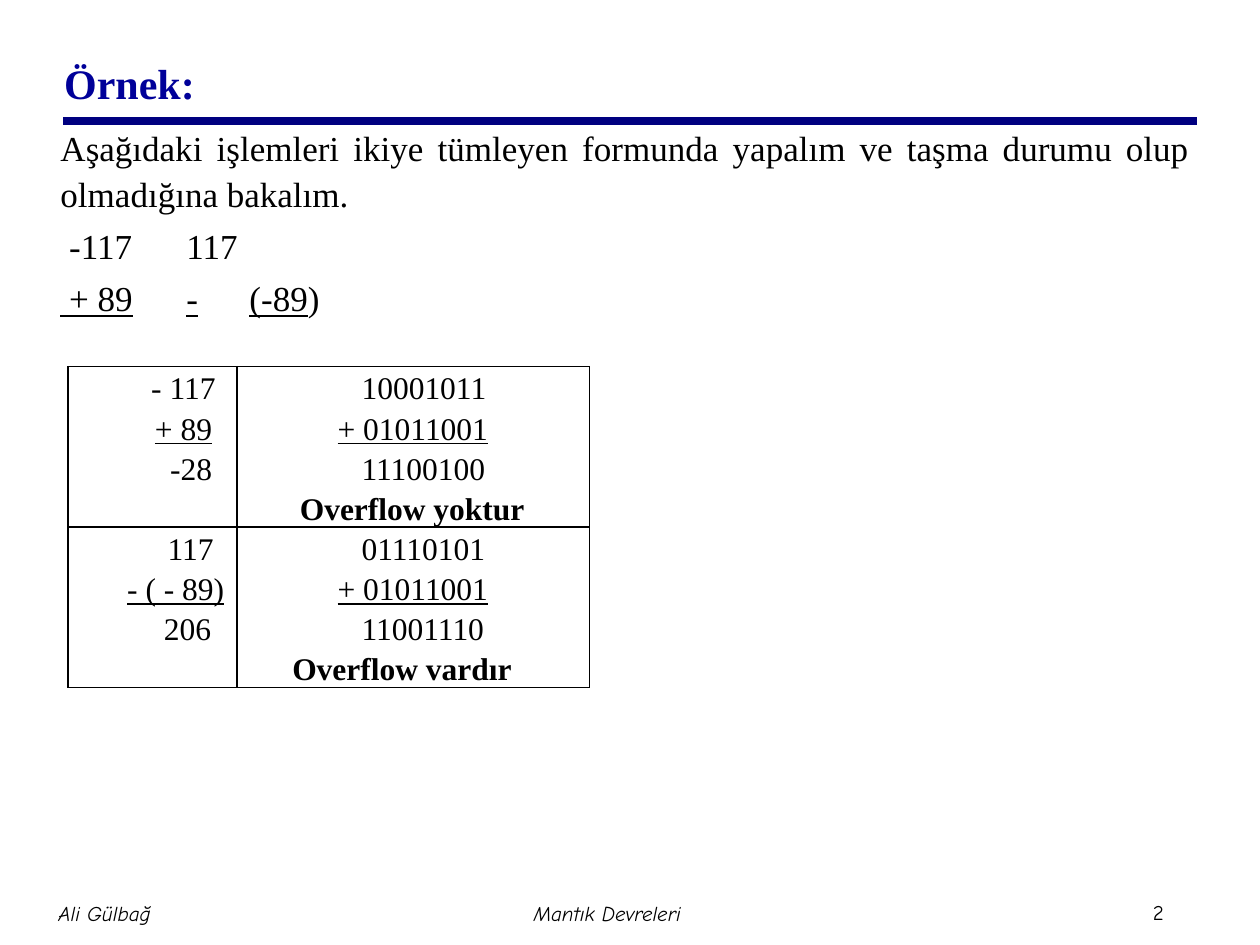
from dataclasses import dataclass

from lxml import etree
from pptx import Presentation
from pptx import util as u
from pptx.dml.color import RGBColor
from pptx.enum import shapes, text
from pptx.oxml import ns

Inches = u.Inches
ALIGN = text.PP_ALIGN
ANCHOR = text.MSO_ANCHOR


@dataclass(frozen=True)
class Theme:
    serif: str = "Times New Roman"
    casual: str = "Comic Neue"
    ink: str = "000000"
    heading: str = "000099"
    rule: str = "000080"
    title_size: int = 24
    body_size: int = 20
    table_size: int = 18
    footer_size: int = 12


THEME = Theme()


def apply(target, formats):
    for name, value in formats.items():
        setattr(target, name, value)


def place(shape, box):
    apply(shape, dict(zip(("left", "top", "width", "height"), map(Inches, box))))


def add_run(paragraph, content, size, face=THEME.serif, color=THEME.ink, **formats):
    run = paragraph.add_run()
    run.text = content
    apply(run.font, {"size": u.Pt(size), "name": face, **formats})
    run.font.color.rgb = RGBColor.from_string(color)


def paragraph_at(frame, index):
    return frame.paragraphs[0] if index == 0 else frame.add_paragraph()


def set_plain(paragraph, indent=0, tabs=()):
    properties = paragraph._p.get_or_add_pPr()
    properties.set("marL", str(Inches(indent)))
    properties.set("indent", "0")
    etree.SubElement(properties, ns.qn("a:buNone"))
    if tabs:
        tab_list = etree.SubElement(properties, ns.qn("a:tabLst"))
        for position in tabs:
            etree.SubElement(tab_list, ns.qn("a:tab"), pos=str(Inches(position)), algn="l")


def add_title(slide, box):
    title = slide.shapes.title
    place(title, box)
    apply(title.text_frame, {"vertical_anchor": ANCHOR.MIDDLE, "auto_size": text.MSO_AUTO_SIZE.NONE})
    paragraph = title.text_frame.paragraphs[0]
    paragraph.alignment = ALIGN.LEFT
    add_run(paragraph, "Örnek:", THEME.title_size, color=THEME.heading, bold=True)


def add_rule(slide, box):
    left, top, width, height = box
    rule = slide.shapes.add_connector(
        shapes.MSO_CONNECTOR.STRAIGHT,
        Inches(left), Inches(top), Inches(left + width), Inches(top + height),
    )
    rule.line.width = u.Pt(4.5)
    rule.line.color.rgb = RGBColor.from_string(THEME.rule)
    etree.SubElement(rule._element.spPr, ns.qn("a:effectLst"))


def add_body(slide, box):
    body = slide.placeholders[1]
    place(body, box)
    frame = body.text_frame
    apply(frame, {"vertical_anchor": ANCHOR.TOP, "auto_size": text.MSO_AUTO_SIZE.NONE})
    paragraphs = [
        (ALIGN.JUSTIFY, (), [("Aşağıdaki işlemleri ikiye tümleyen formunda yapalım "
                              "ve taşma durumu olup olmadığına bakalım.", False)]),
        (ALIGN.LEFT, (1.54,), [(" -117\t117", False)]),
        (ALIGN.LEFT, (1.27, 1.5), [(" + 89", True), ("\t", False), ("-\t(-89", True), (")", False)]),
    ]
    for index, (alignment, tabs, runs) in enumerate(paragraphs):
        paragraph = paragraph_at(frame, index)
        set_plain(paragraph, tabs=tabs)
        apply(paragraph, {"alignment": alignment, "line_spacing": 1.08,
                          "space_before": u.Pt(4 if index else 0)})
        for content, underline in runs:
            add_run(paragraph, content, THEME.body_size, underline=underline)


def set_borders(cell):
    properties = cell._tc.get_or_add_tcPr()
    for index, side in enumerate(("lnL", "lnR", "lnT", "lnB")):
        line = etree.Element(ns.qn(f"a:{side}"), w=str(u.Pt(1)))
        fill = etree.SubElement(line, ns.qn("a:solidFill"))
        etree.SubElement(fill, ns.qn("a:srgbClr"), val=THEME.ink)
        properties.insert(index, line)


def fill_cell(cell, lines):
    cell.fill.background()
    set_borders(cell)
    apply(cell, {"margin_left": Inches(0.07), "margin_right": Inches(0.07),
                 "margin_top": 0, "margin_bottom": 0, "vertical_anchor": ANCHOR.TOP})
    for index, (content, indent) in enumerate(lines):
        paragraph = paragraph_at(cell.text_frame, index)
        set_plain(paragraph, indent)
        apply(paragraph, {"alignment": ALIGN.LEFT, "line_spacing": 1.15})
        add_run(paragraph, content, THEME.table_size,
                underline=index == 1, bold=index == 3)


def add_results(slide, box):
    rows = [
        ([("- 117", 0.59), ("+ 89", 0.62), ("-28", 0.74)],
         [("10001011", 0.92), ("+ 01011001", 0.73), ("11100100", 0.92), ("Overflow yoktur", 0.43)]),
        ([("117", 0.72), ("- ( - 89)", 0.4), ("206", 0.69)],
         [("01110101", 0.92), ("+ 01011001", 0.73), ("11001110", 0.92), ("Overflow vardır", 0.37)]),
    ]
    table = slide.shapes.add_table(len(rows), 2, *map(Inches, box)).table
    apply(table, {"first_row": False, "horz_banding": False})
    for column, width in zip(table.columns, (1.34, 2.8)):
        column.width = Inches(width)
    for row_index, row in enumerate(rows):
        for column_index, lines in enumerate(row):
            fill_cell(table.cell(row_index, column_index), lines)


def add_footer(slide, box, content, alignment, italic):
    footer = slide.shapes.add_textbox(*map(Inches, box))
    frame = footer.text_frame
    margins = dict.fromkeys(("margin_left", "margin_right", "margin_top", "margin_bottom"), Inches(0.05))
    apply(frame, {"word_wrap": True, "vertical_anchor": ANCHOR.MIDDLE, **margins})
    frame.paragraphs[0].alignment = alignment
    add_run(frame.paragraphs[0], content, THEME.footer_size, THEME.casual, italic=italic)


def main():
    presentation = Presentation()
    apply(presentation, {"slide_width": Inches(10), "slide_height": Inches(7.5)})
    slide = presentation.slides.add_slide(presentation.slide_layouts[1])
    add_rule(slide, (0.5, 0.96, 9, 0))
    add_title(slide, (0.41, 0.23, 8.5, 0.86))
    add_body(slide, (0.38, 0.93, 9.16, 5.55))
    add_results(slide, (0.54, 2.91, 4.14, 2.54))
    add_footer(slide, (-0.96, 7, 3.58, 0.5), "Ali Gülbağ", ALIGN.CENTER, True)
    add_footer(slide, (3.03, 7, 3.58, 0.5), "Mantık Devreleri", ALIGN.CENTER, True)
    add_footer(slide, (9.1, 7.09, 0.47, 0.3), "2", ALIGN.LEFT, False)
    presentation.save("out.pptx")


if __name__ == "__main__":
    main()
